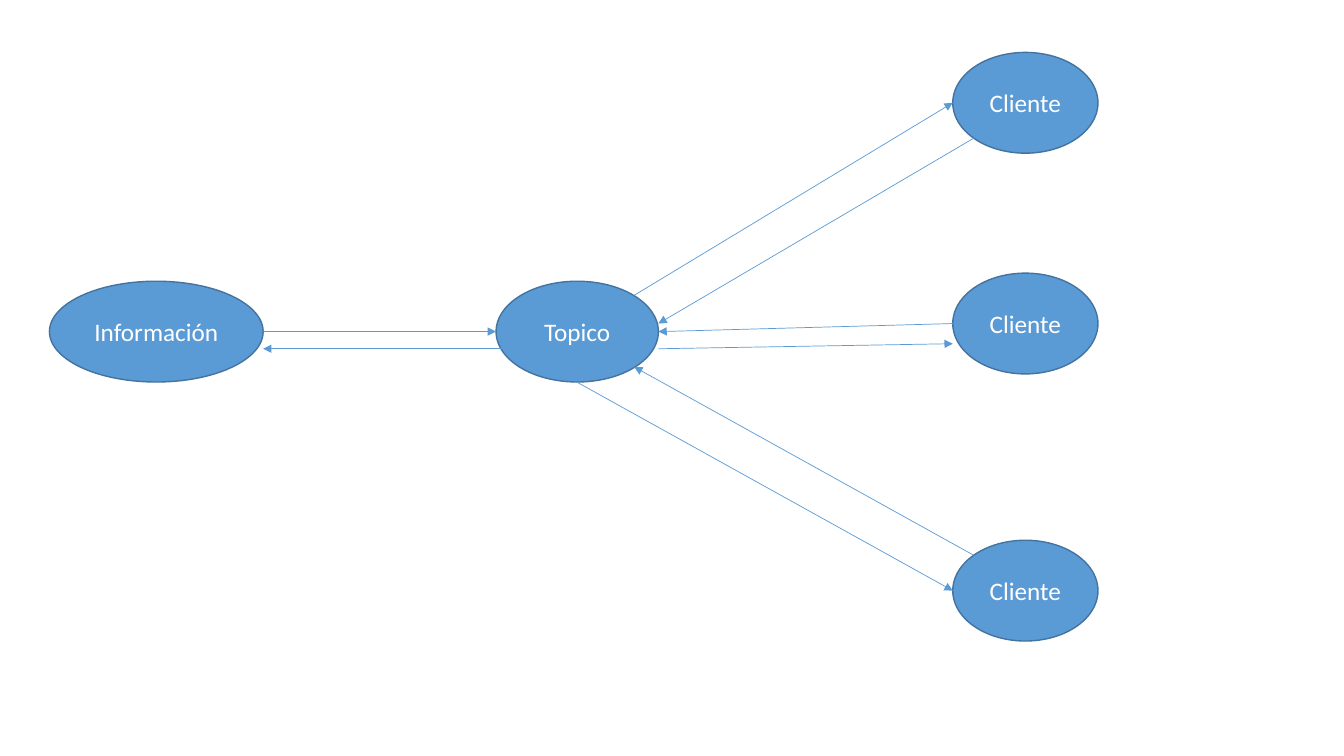
from lxml import etree
from pptx import Presentation, util as u
from pptx.dml.color import RGBColor
from pptx.enum import shapes, text
from pptx.oxml.ns import qn

EMU_PER_PX = 9144  # 100 px to the inch
BLUE, DARK_BLUE, WHITE = "5B9BD5", "43739E", "FFFFFF"

NODE_HEIGHT = 100
CLIENT_LEFT, CLIENT_WIDTH = 945, 144
CLIENT_TOPS = (52, 271, 536)

ARROWS = (
    ((261, 329), (492, 329)),  # Información to Topico
    ((553, 346), (261, 346)),
    ((629, 293), (945, 102)),  # Topico and the upper Cliente
    ((966, 137), (653, 321)),
    ((653, 346), (945, 341)),  # Topico and the middle Cliente
    ((945, 321), (653, 329)),
    ((572, 379), (945, 586)),  # Topico and the lower Cliente
    ((966, 551), (629, 364)),
)


def px(length):
    return u.Emu(length * EMU_PER_PX)


def color(hex_value):
    return RGBColor.from_string(hex_value)


def write(frame, content, *, size=18, font="Calibri", ink=WHITE,
          align=text.PP_ALIGN.CENTER, anchor=text.MSO_ANCHOR.MIDDLE):
    frame.word_wrap = True
    frame.vertical_anchor = anchor
    paragraph = frame.paragraphs[0]
    paragraph.alignment = align
    run = paragraph.add_run()
    run.text = content
    run.font.size = u.Pt(size)
    run.font.name = font
    run.font.color.rgb = color(ink)


def add_node(slide, label, left, top, width):
    node = slide.shapes.add_shape(shapes.MSO_SHAPE.OVAL, px(left), px(top),
                                  px(width), px(NODE_HEIGHT))
    node.shadow.inherit = False
    node.fill.solid()
    node.fill.fore_color.rgb = color(BLUE)
    node.line.color.rgb = color(DARK_BLUE)
    node.line.width = u.Pt(1)
    write(node.text_frame, label)


def add_arrow(slide, start, end):
    arrow = slide.shapes.add_connector(shapes.MSO_CONNECTOR.STRAIGHT,
                                       *map(px, start + end))
    arrow.line.color.rgb = color(BLUE)
    arrow.line.width = u.Pt(0.5)
    properties = arrow.element.spPr
    etree.SubElement(properties.find(qn("a:ln")), qn("a:tailEnd"), type="triangle")
    etree.SubElement(properties, qn("a:effectLst"))


def main():
    deck = Presentation()
    deck.slide_width, deck.slide_height = px(1333), px(750)
    slide = deck.slides.add_slide(deck.slide_layouts[6])

    add_node(slide, "Información", 49, 279, 212)
    add_node(slide, "Topico", 492, 279, 161)
    for top in CLIENT_TOPS:
        add_node(slide, "Cliente", CLIENT_LEFT, top, CLIENT_WIDTH)
    for start, end in ARROWS:
        add_arrow(slide, start, end)

    deck.save("out.pptx")


if __name__ == "__main__":
    main()
